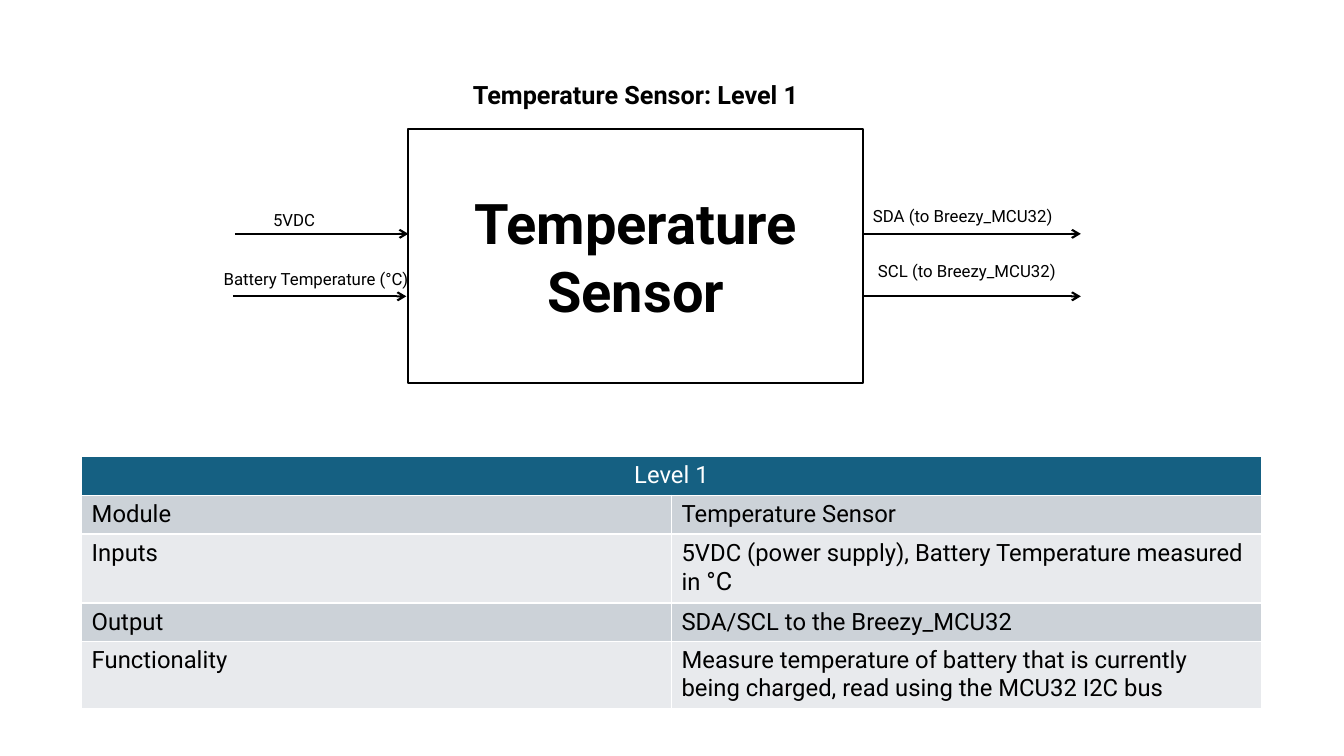
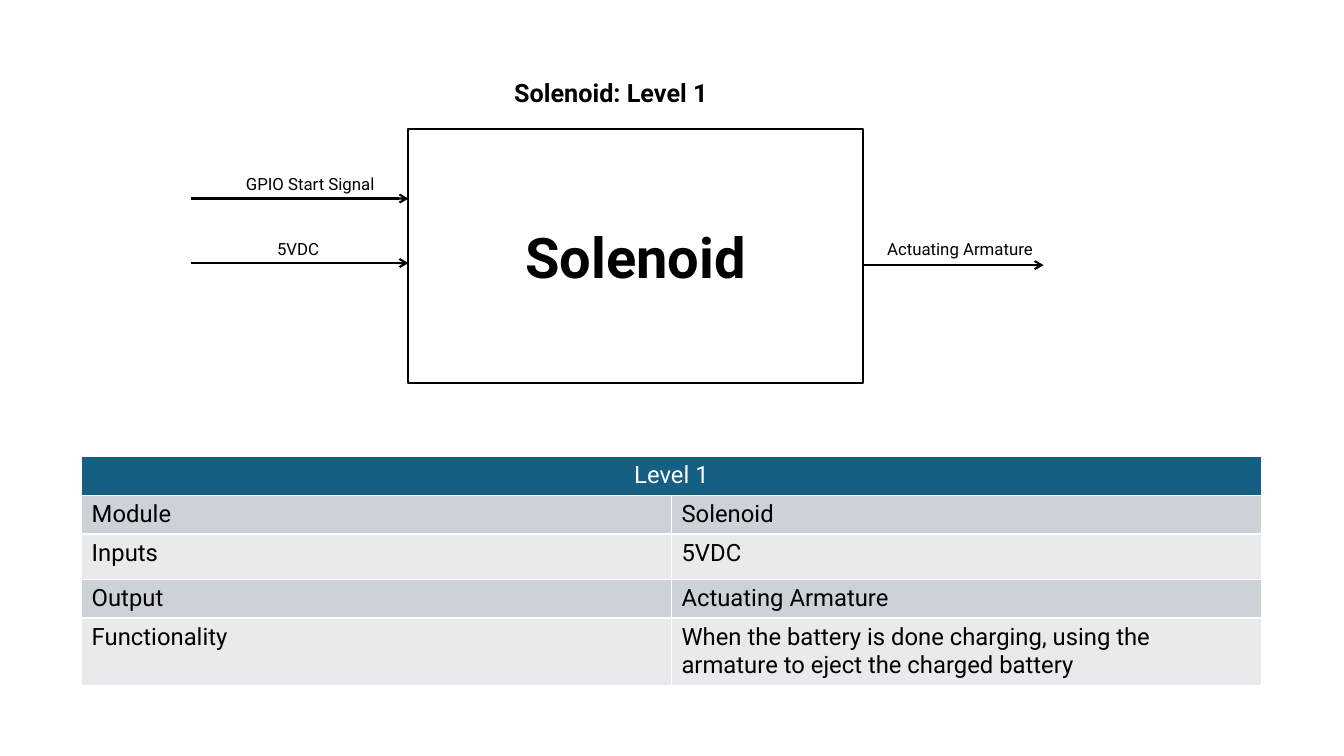
from lxml.etree import SubElement
from pptx import Presentation
from pptx.dml.color import RGBColor
from pptx.enum.shapes import MSO_CONNECTOR, MSO_SHAPE
from pptx.enum.text import MSO_ANCHOR, MSO_AUTO_SIZE, PP_ALIGN
from pptx.oxml.ns import qn
from pptx.util import Inches, Pt

FONT = "Roboto"
BLACK = RGBColor(0x00, 0x00, 0x00)
WHITE = RGBColor(0xFF, 0xFF, 0xFF)
HEADER_BLUE = RGBColor(0x15, 0x60, 0x82)
BANDS = (RGBColor(0xCC, 0xD2, 0xD8), RGBColor(0xE8, 0xEA, 0xED))

BOX_LEFT, BOX_TOP, BOX_WIDTH, BOX_HEIGHT = 4.05, 1.28, 4.51, 2.52
BOX_RIGHT = BOX_LEFT + BOX_WIDTH
TABLE_LEFT, TABLE_TOP, COLUMN_WIDTH = 0.81, 4.53, 5.85
ROW_HEIGHTS = (0.37, 0.37, 0.45, 0.37, 0.65)
ROW_NAMES = ("Module", "Inputs", "Output", "Functionality")
LABEL_HEIGHT = 0.3
TITLE_HEIGHT = 0.4
TABLE_SIZE = 17

# signals: label, (label left, top, width), arrow start x, arrow end x, arrow y
MODULES = [
    {
        "name": "Temperature Sensor",
        "title_at": (4.59, 0.74, 3.44),
        "signals": [
            ("5VDC", (2.61, 2.03, 0.94), 2.33, BOX_LEFT, 2.32),
            ("Battery Temperature (°C)", (2.12, 2.62, 2.07), 2.31, 4.03, 2.94),
            ("SDA (to Breezy_MCU32)", (8.56, 1.99, 2.97), BOX_RIGHT, 10.72, 2.32),
            ("SCL (to Breezy_MCU32)", (8.61, 2.54, 2.97), BOX_RIGHT, 10.72, 2.94),
        ],
        "details": [
            [("5VDC (power supply), Battery Temperature measured in ", TABLE_SIZE), ("°C", 18)],
            [("SDA/SCL to the Breezy_MCU32", TABLE_SIZE)],
            [("Measure temperature of battery that is currently being charged, "
              "read using the MCU32 I2C bus", TABLE_SIZE)],
        ],
    },
    {
        "name": "Solenoid",
        "title_at": (5, 0.72, 2.61),
        "signals": [
            ("GPIO Start Signal", (2.34, 1.67, 1.78), 1.89, BOX_LEFT, 1.97),
            ("5VDC", (2.65, 2.32, 0.94), 1.89, BOX_LEFT, 2.61),
            ("Actuating Armature", (8.7, 2.32, 1.79), BOX_RIGHT, 10.35, 2.63),
        ],
        "details": [
            [("5VDC", TABLE_SIZE)],
            [("Actuating Armature", TABLE_SIZE)],
            [("When the battery is done charging, using the armature "
              "to eject the charged battery", TABLE_SIZE)],
        ],
    },
]


def style_span(span, size, color=BLACK, bold=False):
    span.font.name = FONT
    span.font.size = Pt(size)
    span.font.color.rgb = color
    span.font.bold = bold


def set_text(frame, parts, color=BLACK, bold=False, align=PP_ALIGN.LEFT):
    para = frame.paragraphs[0]
    para.alignment = align
    for text, size in parts:
        span = para.add_run()
        span.text = text
        style_span(span, size, color, bold)


def add_title(page, text, left, top, width):
    title = page.shapes.title
    title.left, title.top = Inches(left), Inches(top)
    title.width, title.height = Inches(width), Inches(TITLE_HEIGHT)
    frame = title.text_frame
    frame.word_wrap = True
    frame.auto_size = MSO_AUTO_SIZE.NONE
    frame.vertical_anchor = MSO_ANCHOR.TOP
    set_text(frame, [(text, 18)], bold=True)


def add_module_box(page, name):
    box = page.shapes.add_shape(MSO_SHAPE.RECTANGLE, Inches(BOX_LEFT), Inches(BOX_TOP),
                                Inches(BOX_WIDTH), Inches(BOX_HEIGHT))
    box.shadow.inherit = False
    box.fill.solid()
    box.fill.fore_color.rgb = WHITE
    box.line.color.rgb = BLACK
    box.line.width = Pt(1.5)
    box.text_frame.vertical_anchor = MSO_ANCHOR.MIDDLE
    set_text(box.text_frame, [(name, 40)], bold=True, align=PP_ALIGN.CENTER)


def add_signal(page, label, label_at, start, end, height):
    arrow = page.shapes.add_connector(MSO_CONNECTOR.STRAIGHT, Inches(start), Inches(height),
                                      Inches(end), Inches(height))
    arrow.line.color.rgb = BLACK
    arrow.line.width = Pt(1.5)
    SubElement(arrow.line._get_or_add_ln(), qn("a:tailEnd"), type="arrow")
    SubElement(arrow._element.spPr, qn("a:effectLst"))

    left, top, width = label_at
    box = page.shapes.add_textbox(Inches(left), Inches(top), Inches(width), Inches(LABEL_HEIGHT))
    box.text_frame.word_wrap = True
    set_text(box.text_frame, [(label, 12)])


def style_cell(cell, color):
    properties = cell._tc.get_or_add_tcPr()
    for side in ("a:lnL", "a:lnR", "a:lnT", "a:lnB"):
        border = SubElement(properties, qn(side), w=str(Pt(1)))
        fill = SubElement(border, qn("a:solidFill"))
        SubElement(fill, qn("a:srgbClr"), val=str(WHITE))
    cell.fill.solid()
    cell.fill.fore_color.rgb = color


def add_details_table(page, name, details):
    table = page.shapes.add_table(len(ROW_HEIGHTS), 2, Inches(TABLE_LEFT), Inches(TABLE_TOP),
                                  Inches(2 * COLUMN_WIDTH), Inches(sum(ROW_HEIGHTS))).table
    for row, height in zip(table.rows, ROW_HEIGHTS):
        row.height = Inches(height)
    for cell in table.rows[0].cells:
        style_cell(cell, HEADER_BLUE)
    header = table.cell(0, 0)
    header.merge(table.cell(0, 1))
    set_text(header.text_frame, [("Level 1", TABLE_SIZE)], WHITE, align=PP_ALIGN.CENTER)

    values = [[(name, TABLE_SIZE)], *details]
    for index, (row_name, value) in enumerate(zip(ROW_NAMES, values)):
        for column, parts in enumerate(([(row_name, TABLE_SIZE)], value)):
            cell = table.cell(index + 1, column)
            style_cell(cell, BANDS[index % 2])
            set_text(cell.text_frame, parts)


def main():
    deck = Presentation()
    deck.slide_width, deck.slide_height = Inches(13.33), Inches(7.5)
    title_only = deck.slide_layouts[5]
    for module in MODULES:
        page = deck.slides.add_slide(title_only)
        add_module_box(page, module["name"])
        add_title(page, f"{module['name']}: Level 1", *module["title_at"])
        for signal in module["signals"]:
            add_signal(page, *signal)
        add_details_table(page, module["name"], module["details"])
    deck.save("out.pptx")


if __name__ == "__main__":
    main()
